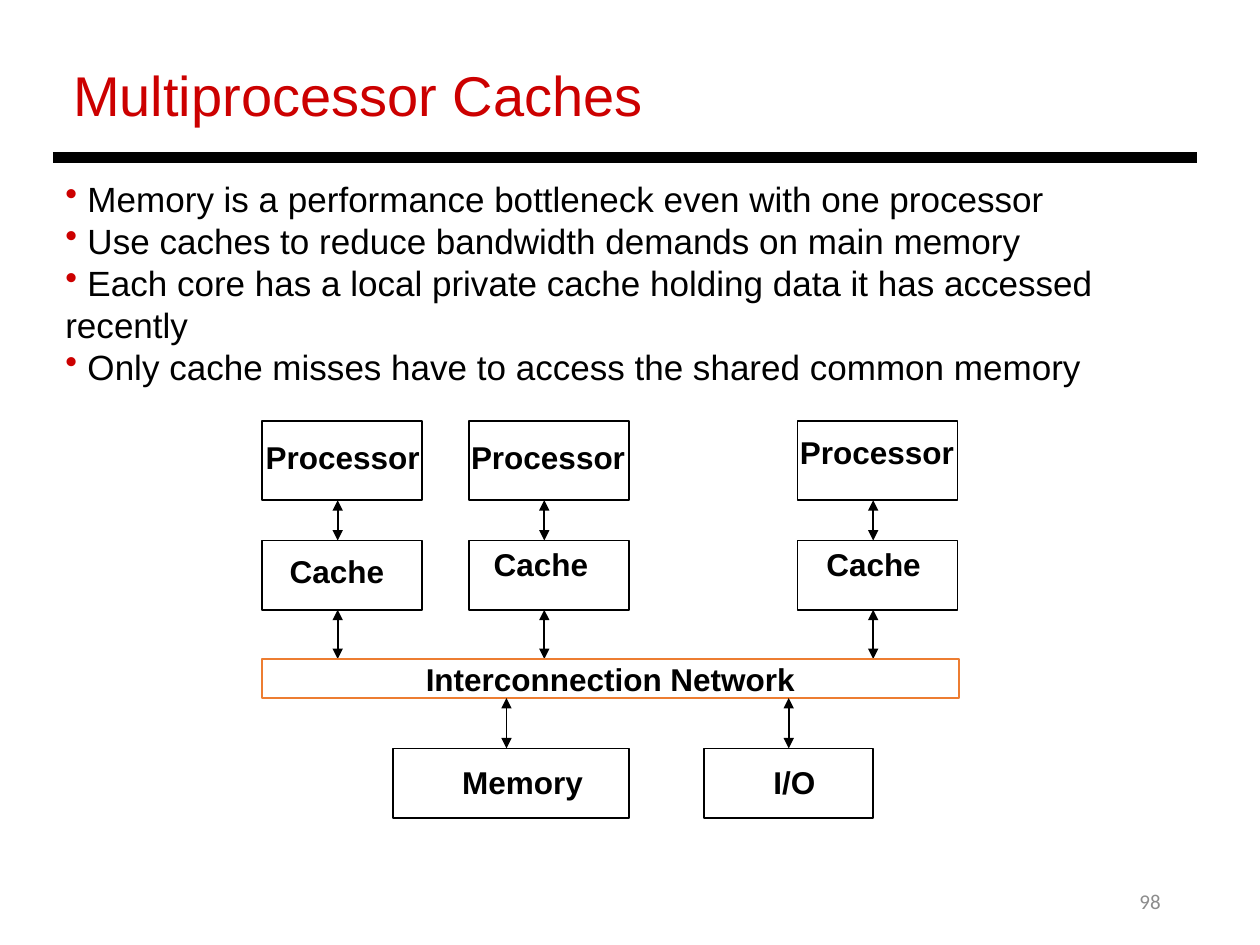
from dataclasses import dataclass

from pptx import Presentation
from pptx.dml.color import RGBColor
from pptx.enum.shapes import MSO_CONNECTOR, MSO_SHAPE
from pptx.enum.text import MSO_ANCHOR, PP_ALIGN
from pptx.oxml.ns import qn
from pptx.util import Inches, Pt
from lxml import etree

LINE, RECT = MSO_CONNECTOR.STRAIGHT, MSO_SHAPE.RECTANGLE
TOP, MIDDLE = MSO_ANCHOR.TOP, MSO_ANCHOR.MIDDLE
LEFT, CENTER, RIGHT = PP_ALIGN.LEFT, PP_ALIGN.CENTER, PP_ALIGN.RIGHT

COLORS = {"black": "000000", "red": "CC0000", "orange": "ED7D31", "gray": "8C8C8C"}
LABEL = {"size": Pt(18), "name": "Arial", "bold": True}
BODY = {"size": Pt(20), "name": "Arial"}
HEAD = {"size": Pt(32), "name": "Arial"}
PAGE = {"size": Pt(12), "name": "Calibri"}

BULLETS = [
    "Memory is a performance bottleneck even with one processor",
    "Use caches to reduce bandwidth demands on main memory",
    "Each core has a local private cache holding data it has accessed recently",
    "Only cache misses have to access the shared common memory",
]

CORE_W, CORE_Y, CORE_H = 1.27, 3.34, 0.63
CACHE_Y, CACHE_H = 4.29, 0.55
NET_X, NET_Y, NET_W, NET_H = 2.08, 5.23, 5.53, 0.31
UNIT_Y, UNIT_H = 5.94, 0.55
PORT = 0.6  # from the left side of a core to its arrows


@dataclass
class Label:
    text: str
    x: float
    y: float
    w: float


@dataclass
class Core:
    x: float
    name: Label
    cache: Label


@dataclass
class Unit:
    x: float
    w: float
    port: float
    name: Label
    joined: bool = False


CORES = [
    Core(2.08, Label("Processor", 2.01, 3.43, 1.44), Label("Cache", 2.2, 4.33, 0.96)),
    Core(3.72, Label("Processor", 3.64, 3.43, 1.44), Label("Cache", 3.82, 4.28, 0.96)),
    Core(6.33, Label("Processor", 6.25, 3.39, 1.44), Label("Cache", 6.46, 4.28, 0.96)),
]
UNITS = [
    Unit(3.12, 1.87, 0.9, Label("Memory", 3.57, 6.01, 1.17)),
    Unit(5.59, 1.34, 0.67, Label("I/O", 6.04, 6.01, 0.54), joined=True),
]


def rgb(color: str) -> RGBColor:
    return RGBColor.from_string(COLORS[color])


def style(par, look: dict, color: str = "black", align=LEFT) -> None:
    par.alignment = align
    for key, value in look.items():
        setattr(par.font, key, value)
    par.font.color.rgb = rgb(color)


def add_text(slide, at: tuple, text: str, look: dict, color: str = "black",
             align=LEFT, anchor=TOP, wrap: bool = True) -> None:
    frame = slide.shapes.add_textbox(*map(Inches, at)).text_frame
    frame.word_wrap, frame.vertical_anchor = wrap, anchor
    frame.text = text
    style(frame.paragraphs[0], look, color, align)


def add_label(slide, label: Label) -> None:
    add_text(slide, (label.x, label.y, label.w, 0.4), label.text, LABEL, wrap=False)


def add_box(slide, x: float, y: float, w: float, h: float, color: str = "black"):
    box = slide.shapes.add_shape(RECT, *map(Inches, (x, y, w, h)))
    box.shadow.inherit = False
    box.fill.background()
    box.line.color.rgb = rgb(color)
    box.line.width = Pt(1)
    return box


def add_line(slide, start: tuple, end: tuple, width: float):
    line = slide.shapes.add_connector(LINE, *map(Inches, start + end))
    line.line.color.rgb = rgb("black")
    line.line.width = Pt(width)
    etree.SubElement(line._element.spPr, qn("a:effectLst"))
    return line


def add_arrow(slide, x: float, top: float, bottom: float):
    """Draw a vertical arrow with a head at both ends."""
    arrow = add_line(slide, (x, top), (x, bottom), 1)
    for tag in ("a:headEnd", "a:tailEnd"):
        etree.SubElement(arrow.line._get_or_add_ln(), qn(tag), type="triangle")
    return arrow


def add_title(slide) -> None:
    title = slide.shapes.title
    title.left, title.top, title.width, title.height = map(Inches, (0.48, 0.43, 8.26, 0.64))
    title.text_frame.text = "Multiprocessor Caches"
    title.text_frame.vertical_anchor = TOP
    style(title.text_frame.paragraphs[0], HEAD, "red")


def add_bullets(slide) -> None:
    frame = slide.shapes.add_textbox(*map(Inches, (0.42, 1.36, 9.28, 1.78))).text_frame
    frame.word_wrap = True
    frame.text = "\n".join(f" {text}" for text in BULLETS)
    for par in frame.paragraphs:
        props = par._p.get_or_add_pPr()
        tint = etree.SubElement(props, qn("a:buClr"))
        etree.SubElement(tint, qn("a:srgbClr"), val=COLORS["red"])
        etree.SubElement(props, qn("a:buChar"), char="•")
        style(par, BODY)


def add_core(slide, core: Core) -> None:
    add_box(slide, core.x, CORE_Y, CORE_W, CORE_H)
    add_box(slide, core.x, CACHE_Y, CORE_W, CACHE_H)
    add_label(slide, core.name)
    add_label(slide, core.cache)
    add_arrow(slide, core.x + PORT, CORE_Y + CORE_H, CACHE_Y)
    add_arrow(slide, core.x + PORT, CACHE_Y + CACHE_H, NET_Y)


def add_network(slide) -> None:
    box = add_box(slide, NET_X, NET_Y, NET_W, NET_H, "orange")
    frame = box.text_frame
    frame.word_wrap, frame.vertical_anchor = False, MIDDLE
    frame.text = "Interconnection Network"
    style(frame.paragraphs[0], LABEL, align=CENTER)


def add_unit(slide, unit: Unit) -> None:
    box = add_box(slide, unit.x, UNIT_Y, unit.w, UNIT_H)
    add_label(slide, unit.name)
    arrow = add_arrow(slide, unit.x + unit.port, NET_Y + NET_H, UNIT_Y)
    if unit.joined:
        arrow.end_connect(box, 0)


def main() -> None:
    deck = Presentation()
    deck.slide_width, deck.slide_height = Inches(10), Inches(7.5)
    slide = deck.slides.add_slide(deck.slide_layouts[5])
    add_title(slide)
    add_text(slide, (7.06, 6.95, 2.25, 0.4), "98", PAGE, "gray", RIGHT, MIDDLE)
    add_line(slide, (0.42, 1.25), (9.5, 1.25), 6)
    add_bullets(slide)
    for core in CORES:
        add_core(slide, core)
    add_network(slide)
    for unit in UNITS:
        add_unit(slide, unit)
    deck.save("out.pptx")


if __name__ == "__main__":
    main()
